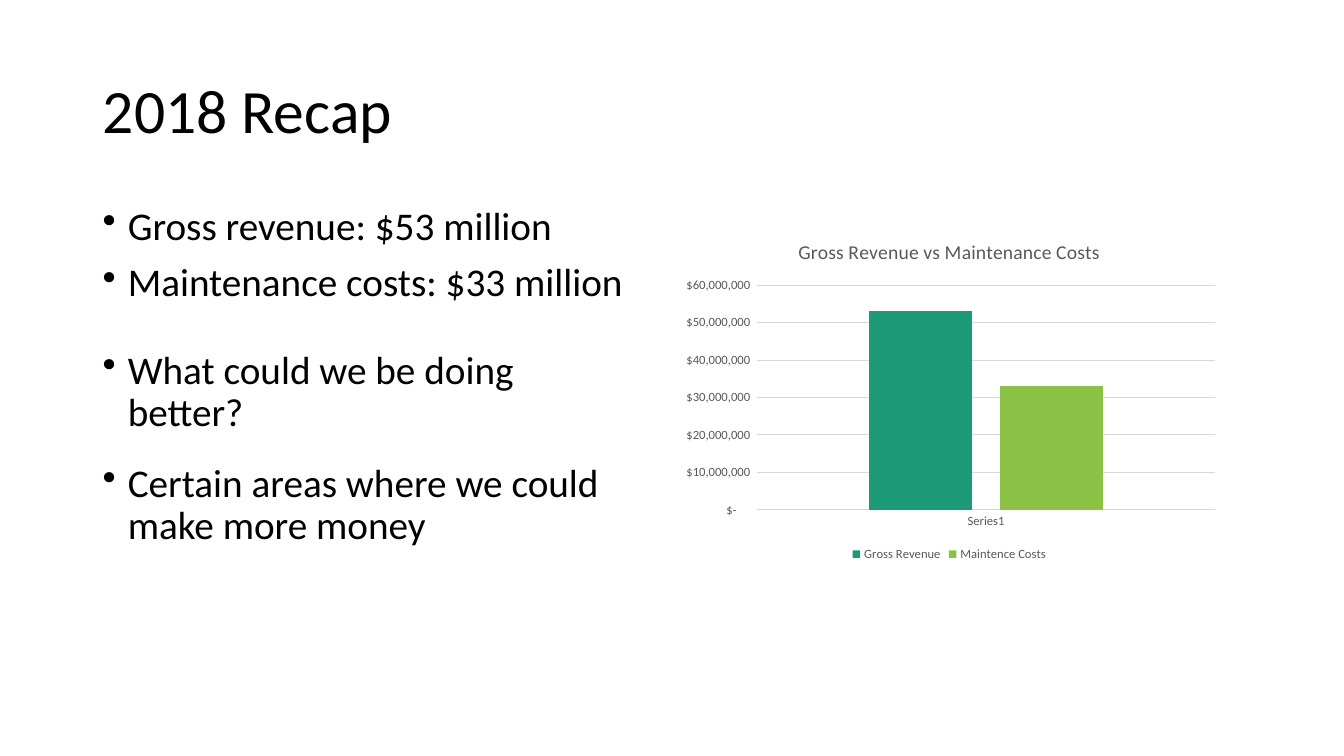
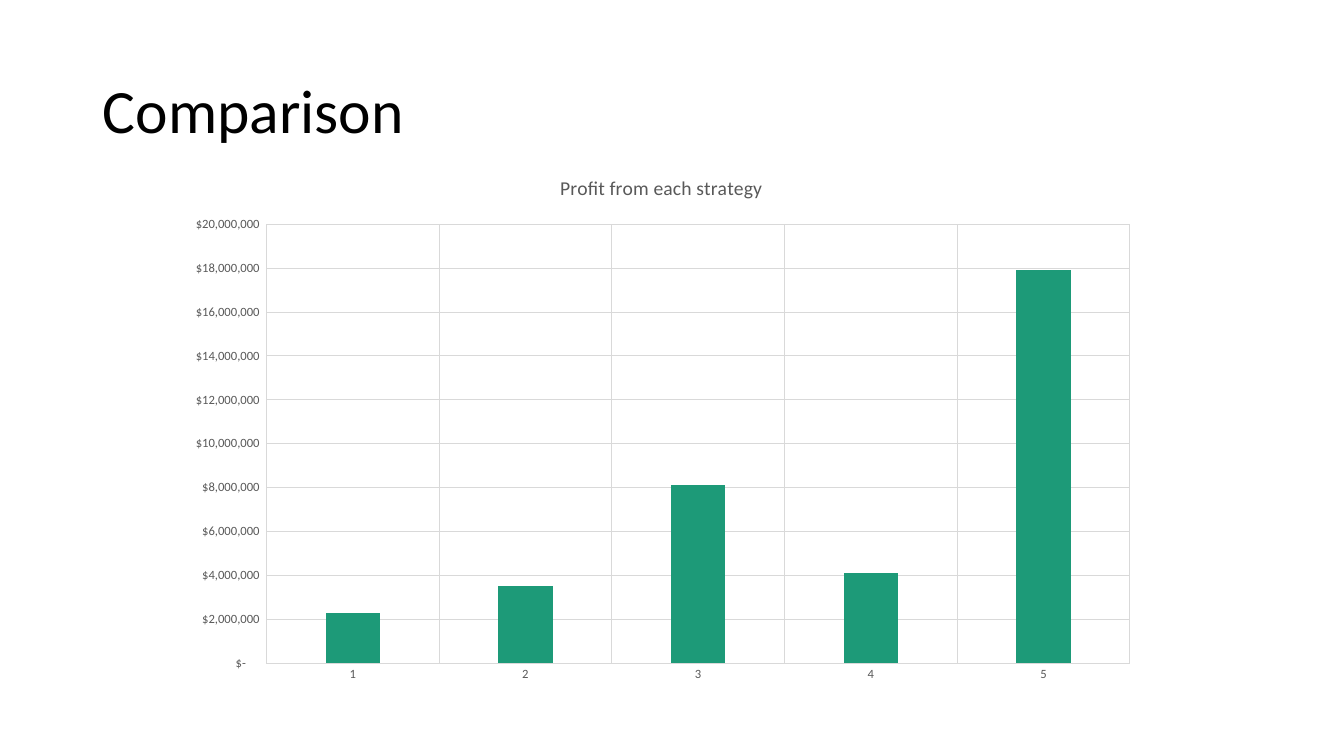
"""Build a two-slide revenue recap with bullets and column charts."""
import pptx
import pptx.chart.data
import pptx.dml.color
import pptx.enum.chart
import pptx.enum.text
import pptx.oxml
import pptx.util
from pptx.util import Inches, Pt

FONT = "Calibri"
BLACK, GRAY, GRID = "000000", "595959", "D9D9D9"
TEAL, GREEN = "1D9A78", "8BC145"
MONEY = '_("$"* #,##0_);_("$"* \\(#,##0\\);_("$"* "-"??_);_(@_)'
BULLET = '<a:buChar xmlns:a="http://schemas.openxmlformats.org/drawingml/2006/main" char="•"/>'

slides = [
    {
        "title": "2018 Recap",
        "bullets": [
            (2, ["Gross revenue: $53 million", "Maintenance costs: $33 million"]),
            (3.43, ["What could we be doing better?"]),
            (4.55, ["Certain areas where we could make more money"]),
        ],
        "chart_title": "Gross Revenue vs Maintenance Costs",
        "place": (6.67, 2.21, 5.49, 3.4),
        "categories": ["Series1"],
        "series": [("Gross Revenue", [53000000], TEAL), ("Maintence Costs", [33000000], GREEN)],
        "scale": (60000000, 10000000),
        "legend": True,
        "vertical_grid": False,
    },
    {
        "title": "Comparison",
        "bullets": [],
        "chart_title": "Profit from each strategy",
        "place": (1.72, 1.53, 9.68, 5.34),
        "categories": ["1", "2", "3", "4", "5"],
        "series": [("Series 1", [2300000, 3500000, 8100000, 4100000, 17900000], TEAL)],
        "scale": (20000000, 2000000),
        "legend": False,
        "vertical_grid": True,
    },
]


def color(value):
    return pptx.dml.color.RGBColor.from_string(value)


def style_font(font, size, value):
    font.name = FONT
    font.size = Pt(size)
    font.bold = False
    font.color.rgb = color(value)


deck = pptx.Presentation()
deck.slide_width, deck.slide_height = Inches(13.33), Inches(7.5)

for content in slides:
    page = deck.slides.add_slide(deck.slide_layouts[5])
    title = page.shapes.title
    title.left, title.top, title.width, title.height = map(Inches, (0.92, 0.4, 11.5, 1.45))
    title.text_frame.text = content["title"]
    title.text_frame.auto_size = pptx.enum.text.MSO_AUTO_SIZE.NONE
    title.text_frame.vertical_anchor = pptx.enum.text.MSO_ANCHOR.MIDDLE
    para = title.text_frame.paragraphs[0]
    para.alignment = pptx.enum.text.PP_ALIGN.LEFT
    para.line_spacing = 0.9
    style_font(para.font, 44, BLACK)

    for top, lines in content["bullets"]:
        box = page.shapes.add_textbox(Inches(0.92), Inches(top), Inches(5.46), Inches(1.12))
        frame = box.text_frame
        frame.word_wrap = True
        frame.text = "\n".join(lines)
        for para in frame.paragraphs:
            para.line_spacing = 0.9
            para.space_before = Pt(10)
            style_font(para.font, 28, BLACK)
            properties = para._p.get_or_add_pPr()
            properties.set("marL", str(Inches(0.25)))
            properties.set("indent", str(-Inches(0.25)))
            properties.insert_element_before(pptx.oxml.parse_xml(BULLET), "a:tabLst", "a:defRPr", "a:extLst")

    data = pptx.chart.data.CategoryChartData(number_format=MONEY)
    data.categories = content["categories"]
    for name, values, fill in content["series"]:
        data.add_series(name, values)
    chart = page.shapes.add_chart(
        pptx.enum.chart.XL_CHART_TYPE.COLUMN_CLUSTERED, *map(Inches, content["place"]), data
    ).chart
    style_font(chart.font, 10, BLACK)
    chart.has_title = True
    chart.chart_title.include_in_layout = False
    chart.chart_title.text_frame.text = content["chart_title"]
    style_font(chart.chart_title.text_frame.paragraphs[0].font, 14, GRAY)

    plot = chart.plots[0]
    plot.vary_by_categories = False
    plot.gap_width, plot.overlap = 219, -27
    for series, (name, values, fill) in zip(plot.series, content["series"]):
        series.format.fill.solid()
        series.format.fill.fore_color.rgb = color(fill)
        series.invert_if_negative = False

    across, upright = chart.category_axis, chart.value_axis
    across.has_major_gridlines = content["vertical_grid"]
    upright.has_major_gridlines = True
    for axis in (across, upright):
        axis.major_tick_mark = axis.minor_tick_mark = pptx.enum.chart.XL_TICK_MARK.NONE
        style_font(axis.tick_labels.font, 9, GRAY)
        if axis.has_major_gridlines:
            axis.major_gridlines.format.line.color.rgb = color(GRID)
            axis.major_gridlines.format.line.width = Pt(0.75)
    across.format.line.color.rgb = color(GRID)
    across.format.line.width = Pt(0.75)
    upright.format.line.fill.background()
    upright.minimum_scale = 0
    upright.maximum_scale, upright.major_unit = content["scale"]
    upright.tick_labels.number_format = MONEY
    upright.tick_labels.number_format_is_linked = False

    chart.has_legend = content["legend"]
    if chart.has_legend:
        chart.legend.position = pptx.enum.chart.XL_LEGEND_POSITION.BOTTOM
        chart.legend.include_in_layout = False
        style_font(chart.legend.font, 9, GRAY)

deck.save("out.pptx")
